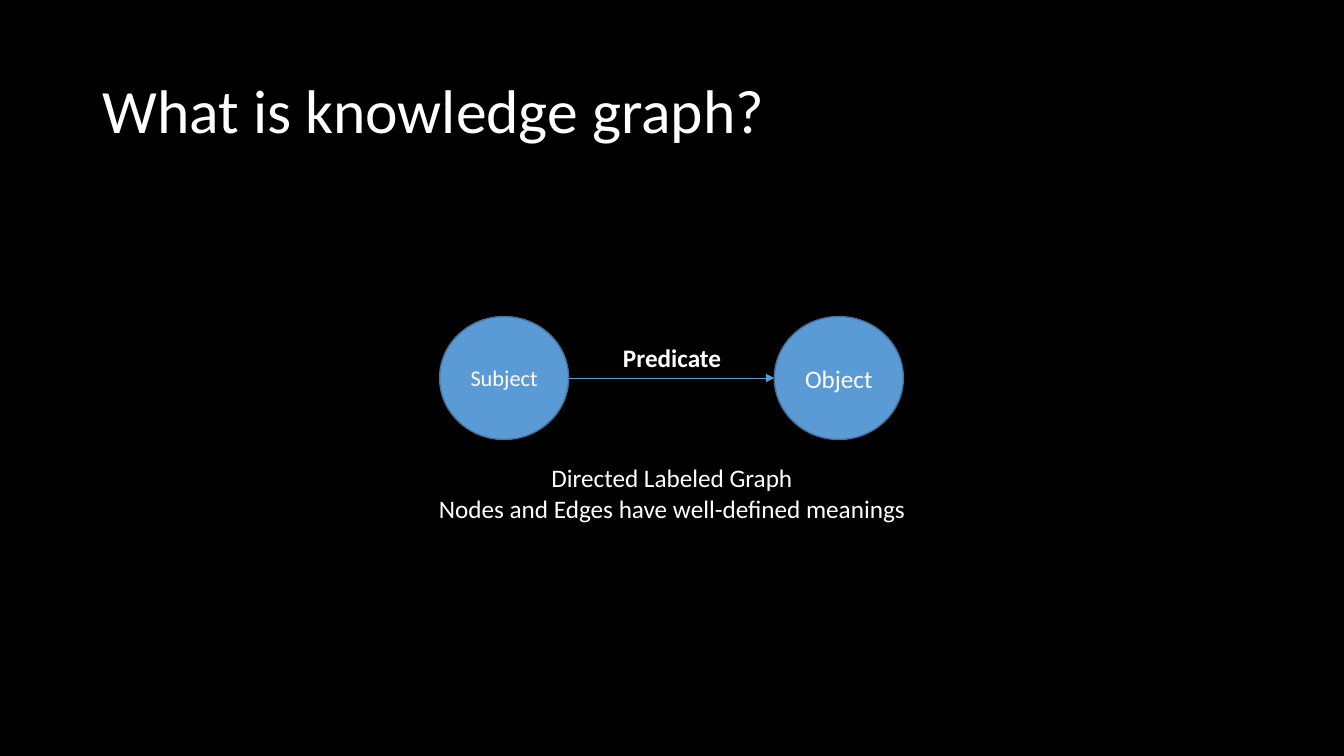
import pptx
import pptx.util
import pptx.dml.color
import pptx.enum.shapes
import pptx.enum.text
import pptx.oxml.ns
from lxml import etree

Inches = pptx.util.Inches
Pt = pptx.util.Pt
RGBColor = pptx.dml.color.RGBColor
ALIGN = pptx.enum.text.PP_ALIGN
ANCHOR = pptx.enum.text.MSO_ANCHOR

BLACK = RGBColor(0x00, 0x00, 0x00)
WHITE = RGBColor(0xFF, 0xFF, 0xFF)
BLUE = RGBColor(0x5B, 0x9B, 0xD5)
DARK_BLUE = RGBColor(0x43, 0x73, 0x9E)

NODE_TOP, NODE_WIDTH, NODE_HEIGHT = 3.14, 1.28, 1.22
SUBJECT_LEFT, OBJECT_LEFT = 4.36, 7.68


def write(tf, lines, size, align, bold=False):
    for i, line in enumerate(lines):
        p = tf.paragraphs[0] if i == 0 else tf.add_paragraph()
        p.alignment = align
        r = p.add_run()
        r.text = line
        r.font.name = "Calibri"
        r.font.size = Pt(size)
        r.font.bold = bold
        r.font.color.rgb = WHITE


def add_title(s, text):
    sp = s.shapes.add_textbox(Inches(0.92), Inches(0.4), Inches(11.5), Inches(1.45))
    tf = sp.text_frame
    tf.word_wrap = True
    tf.vertical_anchor = ANCHOR.MIDDLE
    write(tf, [text], 44, ALIGN.LEFT)
    tf.paragraphs[0].line_spacing = 0.9


def add_label(s, box, lines, align, bold=False):
    sp = s.shapes.add_textbox(*map(Inches, box))
    tf = sp.text_frame
    tf.word_wrap = False
    tf.auto_size = pptx.enum.text.MSO_AUTO_SIZE.SHAPE_TO_FIT_TEXT
    write(tf, lines, 18, align, bold)


def add_node(s, left, text, size):
    sp = s.shapes.add_shape(
        pptx.enum.shapes.MSO_SHAPE.OVAL,
        Inches(left), Inches(NODE_TOP), Inches(NODE_WIDTH), Inches(NODE_HEIGHT))
    sp.shadow.inherit = False
    sp.fill.solid()
    sp.fill.fore_color.rgb = BLUE
    sp.line.color.rgb = DARK_BLUE
    sp.line.width = Pt(1)
    sp.text_frame.vertical_anchor = ANCHOR.MIDDLE
    write(sp.text_frame, [text], size, ALIGN.CENTER)


def add_arrow(s, x1, x2, y):
    cxn = s.shapes.add_connector(
        pptx.enum.shapes.MSO_CONNECTOR.STRAIGHT,
        Inches(x1), Inches(y), Inches(x2), Inches(y))
    cxn.line.color.rgb = BLUE
    cxn.line.width = Pt(0.5)
    qn = pptx.oxml.ns.qn
    etree.SubElement(cxn.line._get_or_add_ln(), qn("a:tailEnd"), type="triangle")
    etree.SubElement(cxn._element.spPr, qn("a:effectLst"))


def main():
    prs = pptx.Presentation()
    prs.slide_width, prs.slide_height = Inches(13.33), Inches(7.5)
    s = prs.slides.add_slide(prs.slide_layouts[6])
    s.background.fill.solid()
    s.background.fill.fore_color.rgb = BLACK

    add_title(s, "What is knowledge graph?")
    add_node(s, SUBJECT_LEFT, "Subject", 16)
    add_arrow(s, SUBJECT_LEFT + NODE_WIDTH, OBJECT_LEFT, NODE_TOP + NODE_HEIGHT / 2)
    add_node(s, OBJECT_LEFT, "Object", 18)
    add_label(s, (6.08, 3.35, 1.18, 0.4), ["Predicate"], ALIGN.LEFT, bold=True)
    add_label(s, (4.22, 4.54, 4.89, 0.71),
              ["Directed Labeled Graph", "Nodes and Edges have well-defined meanings"],
              ALIGN.CENTER)
    prs.save("out.pptx")


if __name__ == "__main__":
    main()
